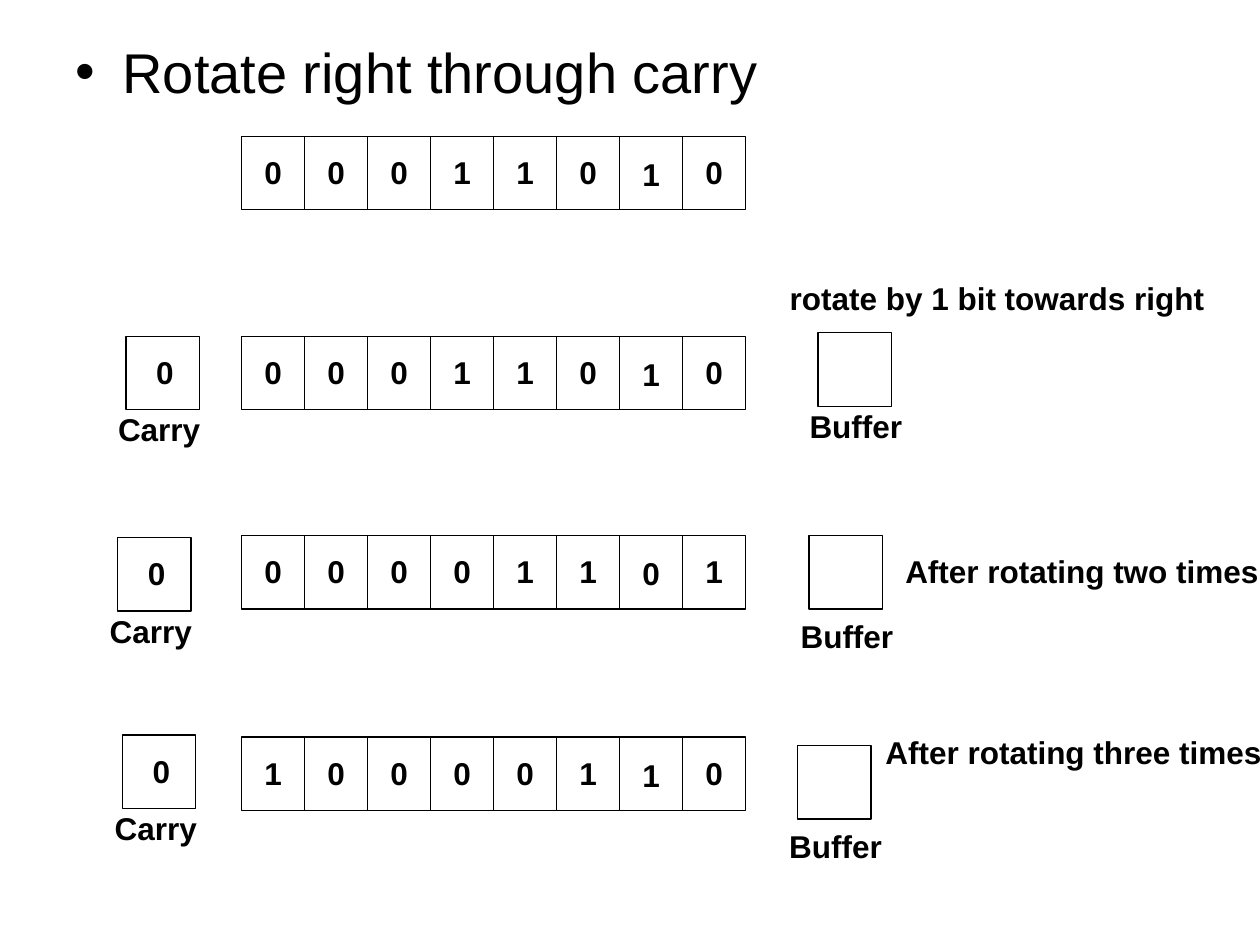
"""Build a slide that shows a byte being rotated right through carry."""
from lxml import etree
from pptx import Presentation, util as u
from pptx.dml.color import RGBColor
from pptx.enum import shapes, text
from pptx.oxml import ns

FONT = "Arial"
BLACK = "000000"
LINE_WIDTH = u.Pt(0.75)
REGISTER_LEFT = 4.87
CELL_WIDTH = 1.27
BOX_SIZE = 1.48
LABEL_HEIGHT = 1.02
DIGIT_WIDTH = 0.95
DIGIT_INSET = 0.21
LOWERED_BIT = 6

REGISTERS = [
    (2.75, "00011010"),
    (6.78, "00011010"),
    (10.8, "00001101"),
    (14.86, "10000110"),
]
CARRIES = [(2.54, 6.78), (2.37, 10.84), (2.47, 14.82)]
BUFFERS = [(16.49, 6.71, 1.37), (16.31, 10.8, 1.52), (16.08, 15.03, 1.52)]
CAPTIONS = [
    (15.67, 5.51, 9.1, "rotate by 1 bit towards right"),
    (18, 11, 7.9, "After rotating two times"),
    (17.6, 14.66, 8.4, "After rotating three times"),
]


def color(value):
    """Return the colour for a hex string."""
    return RGBColor.from_string(value)


def style_font(paragraph, size, bold):
    """Format every run of a paragraph."""
    for run in paragraph.runs:
        run.font.name = FONT
        run.font.size = u.Pt(size)
        run.font.bold = bold
        run.font.color.rgb = color(BLACK)


def add_label(slide, left, top, width, wording):
    """Add one line of bold text."""
    shape = slide.shapes.add_textbox(
        u.Cm(left), u.Cm(top), u.Cm(width), u.Cm(LABEL_HEIGHT))
    frame = shape.text_frame
    frame.text = wording
    frame.word_wrap = True
    frame.auto_size = text.MSO_AUTO_SIZE.SHAPE_TO_FIT_TEXT
    style_font(frame.paragraphs[0], 18, True)


def add_box(slide, left, top, width=BOX_SIZE):
    """Add an unfilled outlined rectangle."""
    shape = slide.shapes.add_shape(
        shapes.MSO_SHAPE.RECTANGLE,
        u.Cm(left), u.Cm(top), u.Cm(width), u.Cm(BOX_SIZE))
    shape.shadow.inherit = False
    shape.fill.background()
    shape.line.color.rgb = color(BLACK)
    shape.line.width = LINE_WIDTH


def add_divider(slide, left, top):
    """Add the vertical line between two bits."""
    connector = slide.shapes.add_connector(
        shapes.MSO_CONNECTOR.STRAIGHT,
        u.Cm(left), u.Cm(top), u.Cm(left), u.Cm(top + BOX_SIZE))
    connector.line.color.rgb = color(BLACK)
    connector.line.width = LINE_WIDTH
    etree.SubElement(connector._element.spPr, ns.qn("a:effectLst"))


def add_register(slide, top, bits):
    """Add a row of bits with dividers."""
    add_box(slide, REGISTER_LEFT, top, CELL_WIDTH * len(bits))
    for index, bit in enumerate(bits):
        left = REGISTER_LEFT + index * CELL_WIDTH
        drop = 0.04 if index == LOWERED_BIT else 0
        add_label(slide, left + DIGIT_INSET, top + DIGIT_INSET + drop,
                  DIGIT_WIDTH, bit)
        if index:
            add_divider(slide, left, top)


def add_carry(slide, left, top):
    """Add a carry box with its bit and name."""
    add_box(slide, left, top)
    add_label(slide, left + 0.36, top + DIGIT_INSET, DIGIT_WIDTH, "0")
    add_label(slide, left - 0.41, top + 1.37, 2.5, "Carry")


def add_buffer(slide, left, top, label_drop):
    """Add an empty buffer box with its name."""
    add_box(slide, left, top)
    add_label(slide, left - 0.42, top + label_drop, 2.7, "Buffer")


def add_heading(slide, wording):
    """Add the bulleted heading."""
    shape = slide.shapes.add_textbox(
        u.Cm(1.27), u.Cm(0.64), u.Cm(22.86), u.Cm(1.6))
    frame = shape.text_frame
    frame.word_wrap = True
    paragraph = frame.paragraphs[0]
    paragraph.text = wording
    properties = paragraph._p.get_or_add_pPr()
    properties.set("marL", str(u.Cm(0.95)))
    properties.set("indent", str(-u.Cm(0.95)))
    bullet_font = etree.SubElement(properties, ns.qn("a:buFont"))
    bullet_font.set("typeface", FONT)
    bullet = etree.SubElement(properties, ns.qn("a:buChar"))
    bullet.set("char", "•")
    style_font(paragraph, 32, False)


def main():
    """Build and save the slide."""
    presentation = Presentation()
    presentation.slide_width = u.Cm(25.4)
    presentation.slide_height = u.Cm(19.05)
    slide = presentation.slides.add_slide(presentation.slide_layouts[6])
    add_heading(slide, "Rotate right through carry")
    for register in REGISTERS:
        add_register(slide, *register)
    for caption in CAPTIONS:
        add_label(slide, *caption)
    for buffer in BUFFERS:
        add_buffer(slide, *buffer)
    for carry in CARRIES:
        add_carry(slide, *carry)
    presentation.save("out.pptx")


if __name__ == "__main__":
    main()
